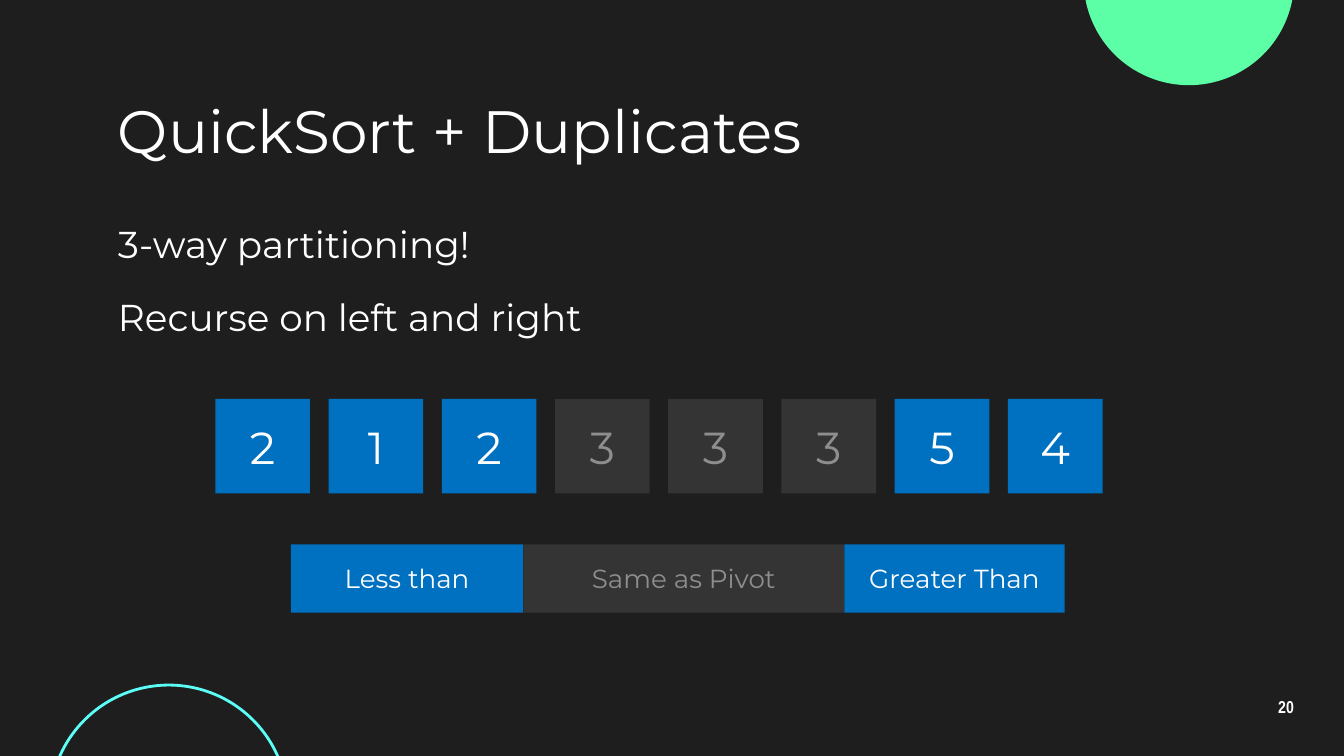
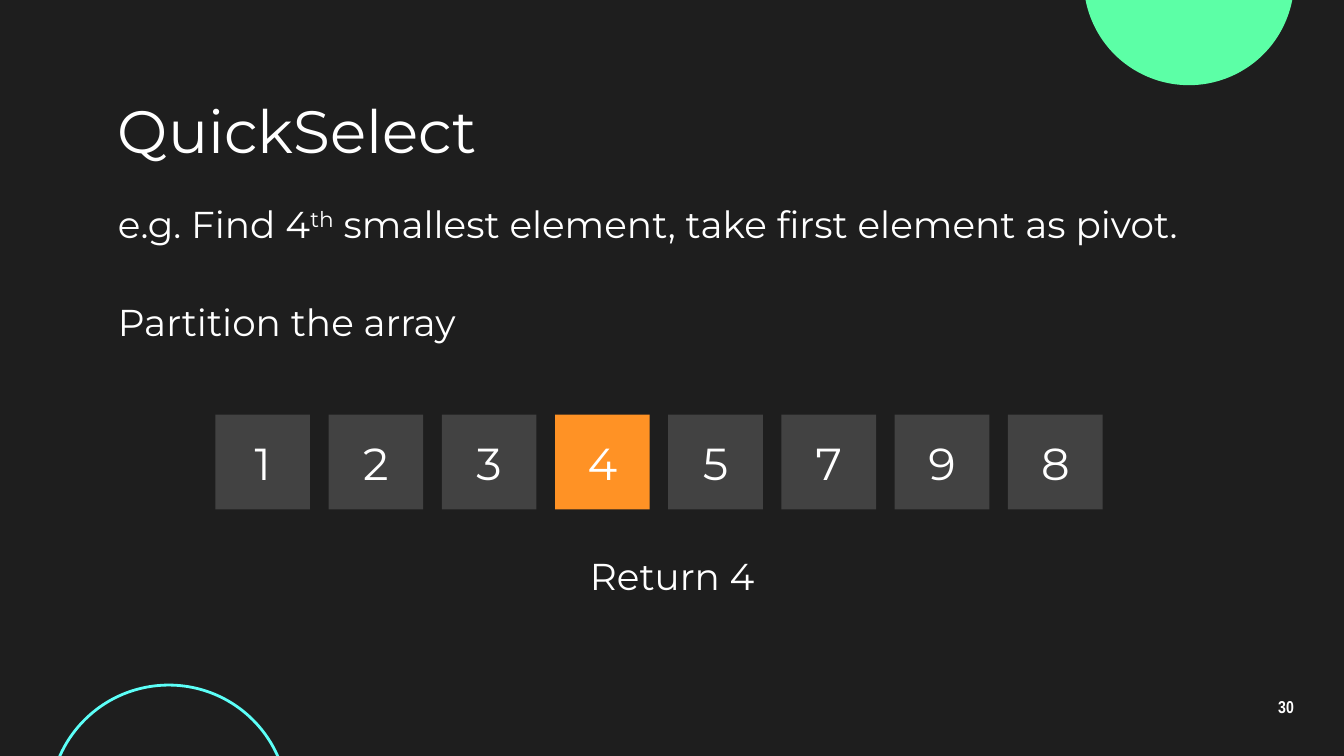
from dataclasses import dataclass

from pptx import Presentation
from pptx.dml.color import RGBColor
from pptx.enum.shapes import MSO_SHAPE
from pptx.enum.text import MSO_ANCHOR, PP_ALIGN
from pptx.util import Cm, Pt

RECT, OVAL = MSO_SHAPE.RECTANGLE, MSO_SHAPE.OVAL
TOP, MID = MSO_ANCHOR.TOP, MSO_ANCHOR.MIDDLE
LEFT, CENTER = PP_ALIGN.LEFT, PP_ALIGN.CENTER


@dataclass(frozen=True)
class Theme:
    back: str = "1E1E1E"
    text: str = "FFFFFF"
    mint: str = "5CFFA6"
    aqua: str = "5CFFF8"
    blue: str = "0070C0"
    dim: str = "343434"
    faint: str = "8E8E8E"
    gray: str = "424242"
    gold: str = "FF9225"
    font: str = "Montserrat"
    small: str = "Arial Narrow"
    title: float = 32
    body: float = 20
    cell: float = 24
    label: float = 14
    page: float = 9.2


THEME = Theme()
EDGE = 1.98


def color(code):
    return RGBColor.from_string(code)


def style(frame, size, ink=THEME.text, font=THEME.font, align=LEFT, bold=False):
    for para in frame.paragraphs:
        para.alignment = align
        for run in para.runs:
            run.font.size = Pt(size)
            run.font.name = font
            run.font.bold = bold
            run.font.color.rgb = color(ink)


def add_text(slide, text, box, size=THEME.body, anchor=TOP, **look):
    frame = slide.shapes.add_textbox(*map(Cm, box)).text_frame
    frame.word_wrap = True
    frame.vertical_anchor = anchor
    frame.margin_left = frame.margin_right = Cm(0.25)
    frame.margin_top = frame.margin_bottom = Cm(0.25)
    frame.text = text
    style(frame, size, **look)
    return frame


def add_raised(slide, parts, box):
    frame = add_text(slide, parts[0], box)
    para = frame.paragraphs[0]
    for part in parts[1:]:
        para.add_run().text = part
    style(frame, THEME.body)
    para.runs[1]._r.get_or_add_rPr().set("baseline", "30000")


def add_form(slide, kind, box, fill=None, line=None):
    form = slide.shapes.add_shape(kind, *map(Cm, box))
    form.shadow.inherit = False
    if fill:
        form.fill.solid()
        form.fill.fore_color.rgb = color(fill)
    else:
        form.fill.background()
    if line:
        form.line.color.rgb = color(line)
        form.line.width = Pt(1.5)
    else:
        form.line.fill.background()
    return form


def add_block(slide, text, box, fill, size):
    frame = add_form(slide, RECT, box, fill).text_frame
    frame.vertical_anchor = MID
    frame.text = text
    ink = THEME.faint if fill == THEME.dim else THEME.text
    style(frame, size, ink, align=CENTER)


def add_array(slide, top, items):
    side, step, left = 1.79, 2.14, 4.07
    for i, (value, fill) in enumerate(items):
        box = (left + i * step, top, side, side)
        add_block(slide, str(value), box, fill, THEME.cell)


def add_legend(slide, left, top, items):
    for text, width, fill in items:
        add_block(slide, text, (left, top, width, 1.29), fill, THEME.label)
        left += width


def add_slide(deck, title, page):
    slide = deck.slides.add_slide(deck.slide_layouts[6])
    slide.background.fill.solid()
    slide.background.fill.fore_color.rgb = color(THEME.back)
    add_form(slide, OVAL, (20.48, -2.37, 3.98, 3.98), fill=THEME.mint)
    add_form(slide, OVAL, (0.94, 12.95, 4.5, 4.5), line=THEME.aqua)
    number = add_text(slide, str(page), (23.54, 12.95, 1.53, 0.86), THEME.page,
                      MID, font=THEME.small, align=CENTER, bold=True)
    number.paragraphs[0].line_spacing = 0.9
    add_text(slide, title, (EDGE, 1.8, 21.44, 1.3), THEME.title, MID)
    return slide


def add_sort(deck):
    slide = add_slide(deck, "QuickSort + Duplicates", 20)
    add_text(slide, "3-way partitioning!", (EDGE, 3.94, 16.74, 2.74))
    add_text(slide, "Recurse on left and right", (EDGE, 5.31, 16.74, 1.17))
    add_legend(slide, 5.5, 10.29, [
        ("Less than", 4.39, THEME.blue),
        ("Same as Pivot", 6.07, THEME.dim),
        ("Greater Than", 4.16, THEME.blue),
    ])
    pivot = 3
    add_array(slide, 7.54, [(n, THEME.dim if n == pivot else THEME.blue)
                            for n in (2, 1, 2, 3, 3, 3, 5, 4)])


def add_select(deck):
    slide = add_slide(deck, "QuickSelect", 30)
    found = 4
    add_array(slide, 7.84, [(n, THEME.gold if n == found else THEME.gray)
                            for n in (1, 2, 3, 4, 5, 7, 9, 8)])
    add_raised(slide, ["e.g. Find 4", "th",
                       " smallest element, take first element as pivot."],
               (EDGE, 3.55, 21.95, 2.74))
    add_text(slide, "Partition the array", (EDGE, 5.4, 21.95, 1.75))
    add_text(slide, "Return 4", (1.73, 10.21, 21.95, 1.75), align=CENTER)


def main():
    deck = Presentation()
    deck.slide_width, deck.slide_height = Cm(25.4), Cm(14.29)
    add_sort(deck)
    add_select(deck)
    deck.save("out.pptx")


if __name__ == "__main__":
    main()
